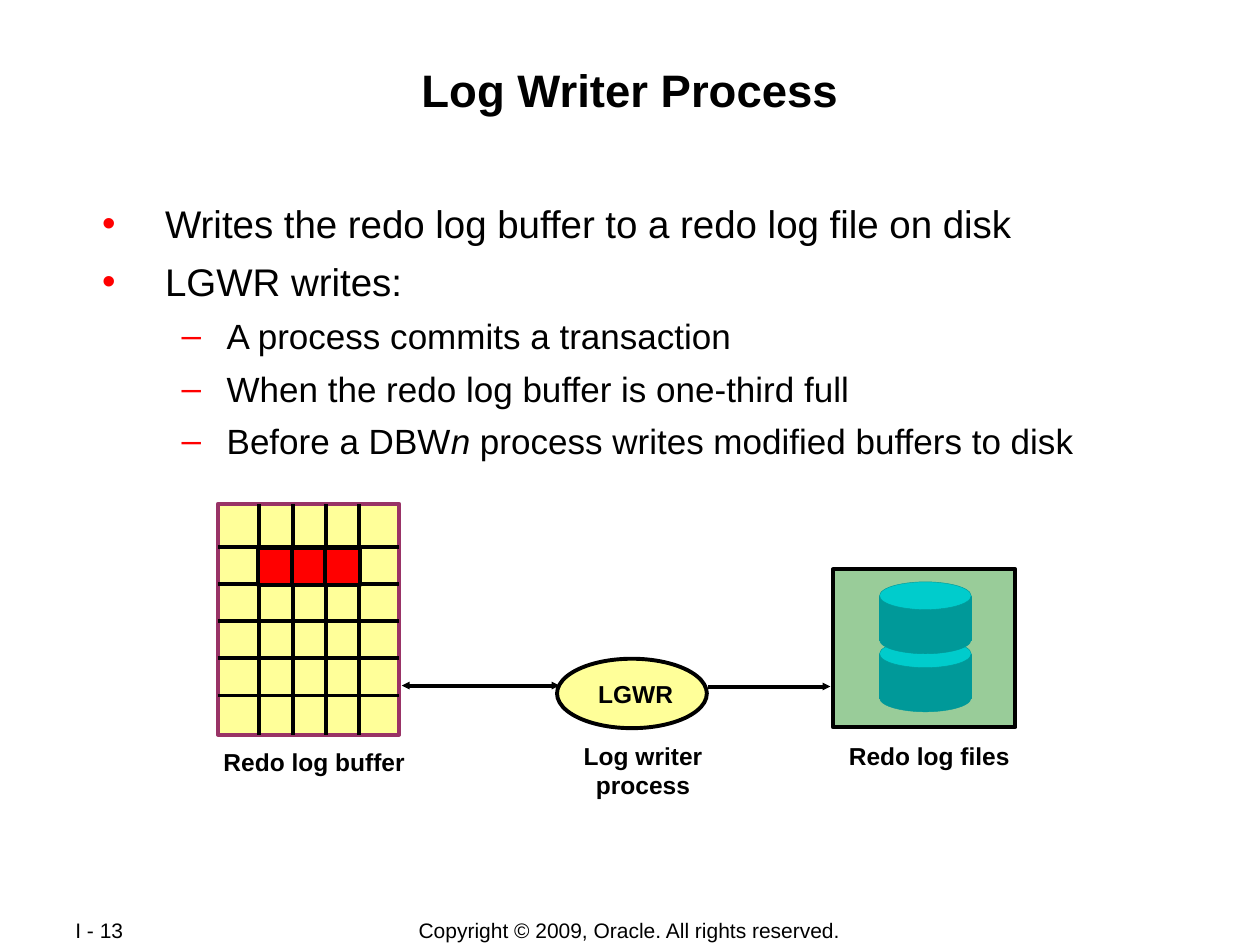
from lxml import etree
from pptx import Presentation
from pptx import util as u
from pptx.dml.color import RGBColor
from pptx.enum import shapes, text
from pptx.oxml import ns

hue = RGBColor.from_string
kind = shapes.MSO_SHAPE
side = text.PP_ALIGN
mid = text.MSO_ANCHOR.MIDDLE

deck = Presentation()
deck.slide_width, deck.slide_height = u.Cm(25.4), u.Cm(19.05)
slide = deck.slides.add_slide(deck.slide_layouts[6])


def draw(form, x, y, w, h, fill, line="000000", width=2.25):
    item = slide.shapes.add_shape(form, u.Cm(x), u.Cm(y), u.Cm(w), u.Cm(h))
    item.shadow.inherit = False
    item.fill.solid()
    item.fill.fore_color.rgb = hue(fill)
    item.line.color.rgb = hue(line)
    item.line.width = u.Pt(width)
    return item


def write(para, words, size, bold=False, align=side.CENTER):
    for i, part in enumerate(words.split("*")):
        run = para.add_run()
        run.text = part
        if i % 2:
            run.font.italic = True
    para.alignment = align
    para.font.name = "Arial"
    para.font.size = u.Pt(size)
    para.font.bold = bold
    para.font.color.rgb = hue("000000")


draw(kind.RECTANGLE, 16.79, 11.48, 3.68, 3.18, "99CC99")

labels = [
    ("Copyright © 2009, Oracle. All rights reserved.", 6.99, 18.49, 11.4, 0.53, 12, False, side.CENTER),
    ("I - 13", 1.27, 18.49, 2.69, 0.51, 12, False, side.LEFT),
    ("Log Writer Process", 1.7, 1.22, 22, 2.44, 26, True, side.CENTER),
    ("Redo log buffer", 4.01, 14.94, 4.65, 0.86, 14, True, side.CENTER),
    ("Log writer process", 10.64, 14.81, 4.65, 1.45, 14, True, side.CENTER),
    ("Redo log files", 16.41, 14.81, 4.65, 0.86, 14, True, side.CENTER),
]
for words, x, y, w, h, size, bold, align in labels:
    frame = slide.shapes.add_textbox(u.Cm(x), u.Cm(y), u.Cm(w), u.Cm(h)).text_frame
    frame.word_wrap = True
    if size == 12:
        frame.vertical_anchor = mid
    if size == 26:
        frame.margin_top = frame.margin_bottom = u.Cm(0.03)
    write(frame.paragraphs[0], words, size, bold, align)

points = [
    (0, "Writes the redo log buffer to a redo log file on disk"),
    (0, "LGWR writes:"),
    (1, "A process commits a transaction"),
    (1, "When the redo log buffer is one-third full"),
    (1, "Before a DBW*n* process writes modified buffers to disk"),
]
looks = [("•", 1.6, -1.27, 22, 6.5), ("–", 2.84, -0.91, 20, 6)]
frame = slide.shapes.add_textbox(u.Cm(1.7), u.Cm(4.01), u.Cm(22), u.Cm(5.21)).text_frame
frame.word_wrap = True
frame.margin_left = frame.margin_right = u.Cm(0.03)
frame.margin_top = frame.margin_bottom = u.Cm(0.03)
for i, (level, words) in enumerate(points):
    sign, left, hang, size, gap = looks[level]
    para = frame.add_paragraph() if i else frame.paragraphs[0]
    para.level = level
    if i:
        para.space_before = u.Pt(gap)
    props = para._p.get_or_add_pPr()
    props.set("marL", str(u.Cm(left)))
    props.set("indent", str(u.Cm(hang)))
    tint = etree.SubElement(props, ns.qn("a:buClr"))
    etree.SubElement(tint, ns.qn("a:srgbClr"), val="FF0000")
    etree.SubElement(props, ns.qn("a:buFont"), typeface="Arial")
    etree.SubElement(props, ns.qn("a:buChar"), char=sign)
    write(para, words, size, align=side.LEFT)

left, top, wide, high = 4.39, 10.16, 3.66, 4.65
draw(kind.RECTANGLE, left, top, wide, high, "FFFF99", "993366")
cols = [5.23 + 0.67 * i for i in range(4)]
rows = [11.02 + 0.75 * i for i in range(5)]
lines = [(x, top, x, top + high, ()) for x in cols]
lines += [(left, y, left + wide, y, ()) for y in rows]
lines += [
    (8.1, 13.82, 11.28, 13.82, ("headEnd", "tailEnd")),
    (14.27, 13.84, 16.74, 13.84, ("tailEnd",)),
]
for x, y, right, low, ends in lines:
    wire = slide.shapes.add_connector(
        shapes.MSO_CONNECTOR.STRAIGHT, u.Cm(x), u.Cm(y), u.Cm(right), u.Cm(low))
    wire.line.color.rgb = hue("000000")
    wire.line.width = u.Pt(2.25)
    for end in ends:
        etree.SubElement(wire.line._get_or_add_ln(), ns.qn("a:" + end),
                         type="triangle", w="sm", len="sm")
    etree.SubElement(wire._element.spPr, ns.qn("a:effectLst"))

for x in cols[:3]:
    draw(kind.RECTANGLE, x - 0.02, 11.05, 0.71, 0.74, "FF0000")

frame = draw(kind.OVAL, 11.23, 13.28, 3.02, 1.4, "FFFF99").text_frame
frame.word_wrap = False
frame.vertical_anchor = mid
frame.margin_left = u.Cm(0.4)
write(frame.paragraphs[0], "LGWR", 14, True)

for y in (12.9, 11.73):
    draw(kind.RECTANGLE, 17.73, y + 0.29, 1.85, 0.88, "009999", "009999", 0.25)
    for drop, fill in ((0, "00CCCC"), (0.89, "009999")):
        draw(kind.OVAL, 17.73, y + drop, 1.85, 0.56, fill, "009999", 0.25)

deck.save("out.pptx")
